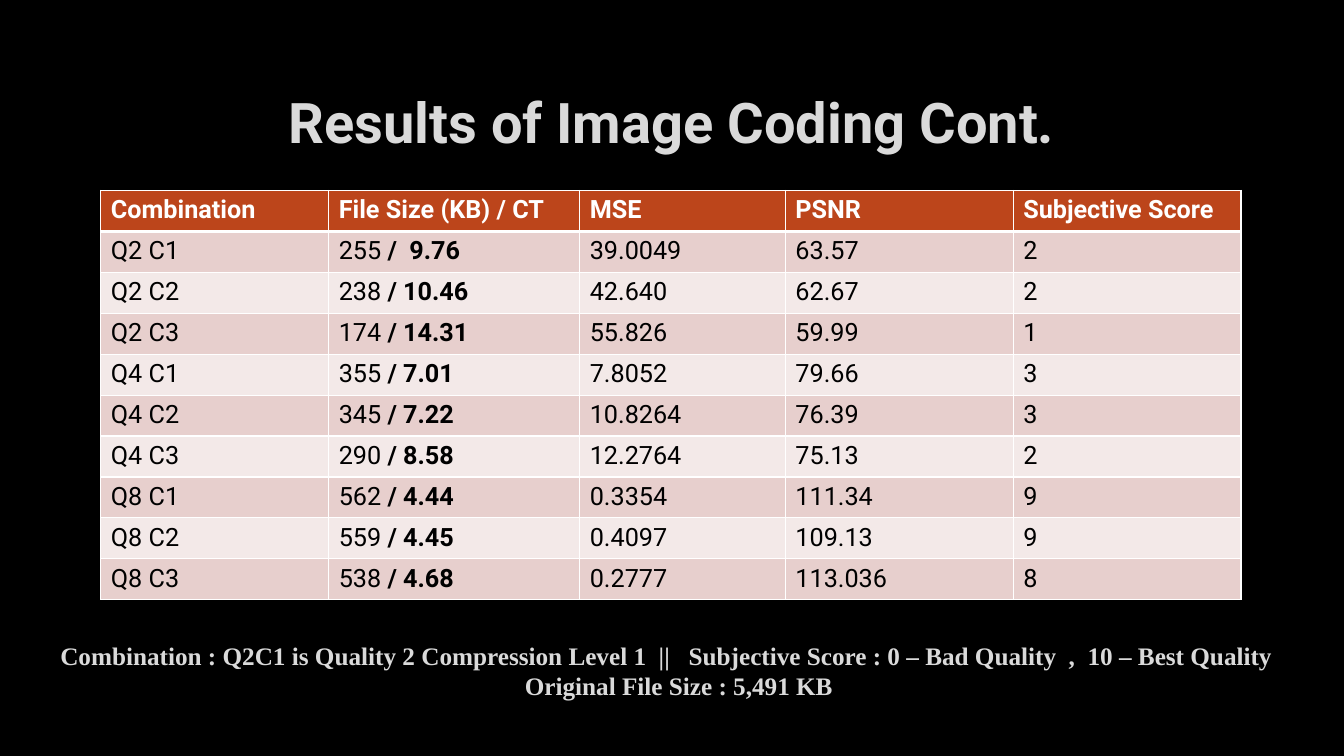
from lxml.etree import SubElement
from pptx import Presentation
from pptx.dml.color import RGBColor
from pptx.enum.text import MSO_ANCHOR as Anchor, MSO_AUTO_SIZE as Fit, PP_ALIGN as Align
from pptx.oxml import parse_xml
from pptx.oxml.ns import nsdecls, qn
from pptx.util import Inches, Pt

HEAD = ["Combination", "File Size (KB) / CT", "MSE", "PSNR", "Subjective Score"]
ROWS = [
    ["Q2 C1", "255 /  9.76", "39.0049", "63.57", "2"],
    ["Q2 C2", "238 / 10.46", "42.640", "62.67", "2"],
    ["Q2 C3", "174 / 14.31", "55.826", "59.99", "1"],
    ["Q4 C1", "355 / 7.01", "7.8052", "79.66", "3"],
    ["Q4 C2", "345 / 7.22", "10.8264", "76.39", "3"],
    ["Q4 C3", "290 / 8.58", "12.2764", "75.13", "2"],
    ["Q8 C1", "562 / 4.44", "0.3354", "111.34", "9"],
    ["Q8 C2", "559 / 4.45", "0.4097", "109.13", "9"],
    ["Q8 C3", "538 / 4.68", "0.2777", "113.036", "8"],
]
WIDTHS = [2.26, 2.49, 2.04, 2.26, 2.26]
BANDS = ["E7CFCD", "F3E9E8"]
NOTES = [
    "Combination : Q2C1 is Quality 2 Compression Level 1  ||   "
    "Subjective Score : 0 – Bad Quality  ,  10 – Best Quality",
    "Original File Size : 5,491 KB ",
]


def paint(fill, color):
    """Fill with one solid hex colour."""
    fill.solid()
    fill.fore_color.rgb = RGBColor.from_string(color)


def style(run, size, face, color, bold):
    """Set the font of a run."""
    font = run.font
    font.size, font.name, font.bold = Pt(size), face, bold
    paint(font.fill, color)


def outline(run):
    """Give a run a faint thin outline."""
    run.font._element.insert(0, parse_xml(
        f'<a:ln {nsdecls("a")} w="{Pt(0.75)}"><a:solidFill><a:srgbClr val="404040">'
        '<a:alpha val="10000"/></a:srgbClr></a:solidFill><a:prstDash val="solid"/></a:ln>'))


def border(cell, top, base):
    """Draw white cell borders with the given top and base widths."""
    props = cell._tc.get_or_add_tcPr()
    for side, width in zip("LRTB", (1, 1, top, base)):
        line = SubElement(props, qn(f"a:ln{side}"), w=str(Pt(width)))
        fill = SubElement(line, qn("a:solidFill"))
        SubElement(fill, qn("a:srgbClr"), val="FFFFFF")


def title(slide, box):
    """Place the slide title."""
    shape = slide.shapes.title
    shape.left, shape.top, shape.width, shape.height = map(Inches, box)
    frame = shape.text_frame
    frame.text = "Results of Image Coding Cont."
    frame.auto_size, frame.vertical_anchor = Fit.NONE, Anchor.MIDDLE
    para = frame.paragraphs[0]
    para.alignment = Align.CENTER
    style(para.runs[0], 40, "Roboto", "DADADA", True)
    outline(para.runs[0])


def results(slide, box):
    """Place the table of coding results."""
    data = [HEAD] + ROWS
    table = slide.shapes.add_table(len(data), len(HEAD), *map(Inches, box)).table
    for col, width in zip(table.columns, WIDTHS):
        col.width = Inches(width)
    for i, row in enumerate(data):
        for j, text in enumerate(row):
            cell = table.cell(i, j)
            border(cell, 3 if i == 1 else 1, 3 if i == 0 else 1)
            paint(cell.fill, BANDS[(i - 1) % 2] if i else "BC451B")
            para = cell.text_frame.paragraphs[0]
            size, slash, ratio = text.partition("/") if i else (text, "", "")
            para.text = size
            if slash:
                para.add_run().text = slash + ratio
            for k, run in enumerate(para.runs):
                style(run, 18, "Roboto", "000000" if i else "FFFFFF", i == 0 or k == 1)


def legend(slide, box):
    """Place the notes below the table."""
    frame = slide.shapes.add_textbox(*map(Inches, box)).text_frame
    frame.word_wrap, frame.vertical_anchor = True, Anchor.MIDDLE
    frame.text = "\n".join(NOTES)
    for para, side in zip(frame.paragraphs, (Align.LEFT, Align.CENTER)):
        para.alignment = side
        style(para.runs[0], 18, "Times New Roman", "DADADA", True)
        outline(para.runs[0])


def main():
    """Build and save the slide."""
    deck = Presentation()
    deck.slide_width, deck.slide_height = Inches(13.33), Inches(7.5)
    slide = deck.slides.add_slide(deck.slide_layouts[5])
    paint(slide.background.fill, "000000")
    title(slide, (1, 0.67, 11.32, 1.06))
    results(slide, (1, 1.89, 11.32, 4.06))
    legend(slide, (0.5, 6.12, 12.53, 1.06))
    deck.save("out.pptx")


if __name__ == "__main__":
    main()
